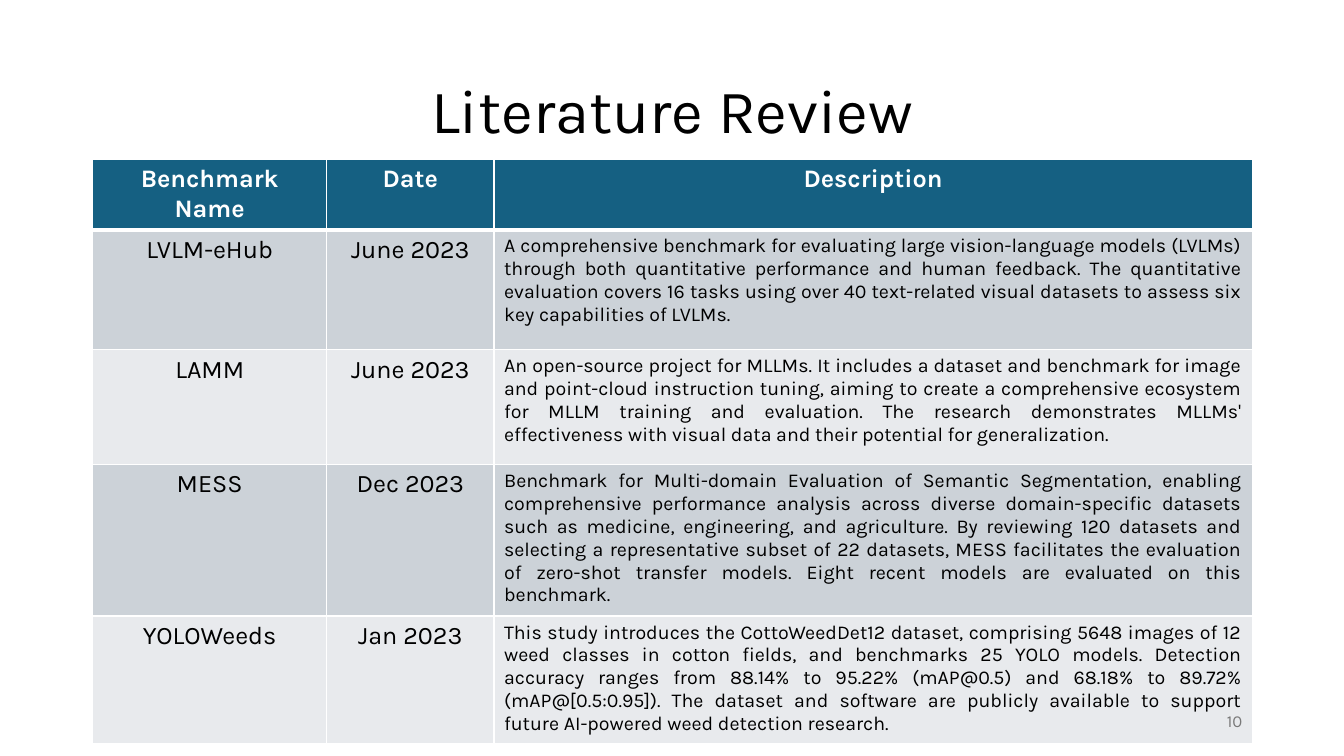
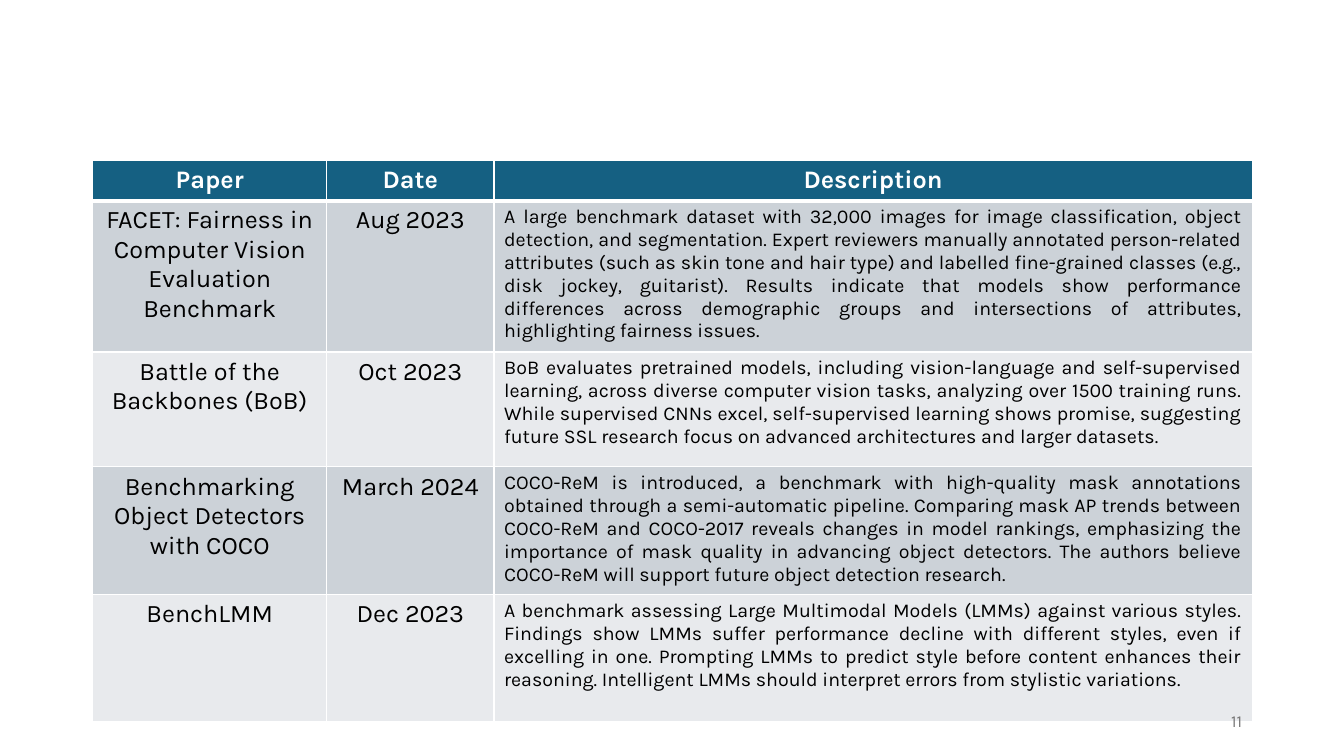
from lxml import etree
from pptx import Presentation
from pptx.dml.color import RGBColor
from pptx.enum.text import MSO_ANCHOR, PP_ALIGN
from pptx.oxml.ns import qn
from pptx.util import Inches, Pt

FONT = "Karla"
BLACK, WHITE, GREY = "000000", "FFFFFF", "797979"
HEADER_FILL = "156082"
BAND_FILLS = ["CCD2D8", "E8EAED"]
LEFT, WIDTH = 0.92, 11.5
COLUMN_WIDTHS = [2.32, 1.66, 7.52]
ROW_HEIGHTS = [0.24, 1.19, 1.14, 1.26, 1.26]

# Each entry: title, page number, table top, table rows
PAGES = [
    ("Literature Review", 10, 1.58, [
        ("Benchmark Name", "Date", "Description"),
        ("LVLM-eHub", "June 2023",
         "A comprehensive benchmark for evaluating large vision-language models (LVLMs) "
         "through both quantitative performance and human feedback. The quantitative "
         "evaluation covers 16 tasks using over 40 text-related visual datasets to assess "
         "six key capabilities of LVLMs."),
        ("LAMM", "June 2023",
         "An open-source project for MLLMs. It includes a dataset and benchmark for image "
         "and point-cloud instruction tuning, aiming to create a comprehensive ecosystem "
         "for MLLM training and evaluation. The research demonstrates MLLMs' effectiveness "
         "with visual data and their potential for generalization."),
        ("MESS", "Dec 2023",
         "Benchmark for Multi-domain Evaluation of Semantic Segmentation, enabling "
         "comprehensive performance analysis across diverse domain-specific datasets such "
         "as medicine, engineering, and agriculture. By reviewing 120 datasets and "
         "selecting a representative subset of 22 datasets, MESS facilitates the "
         "evaluation of zero-shot transfer models. Eight recent models are evaluated on "
         "this benchmark."),
        ("YOLOWeeds", "Jan 2023",
         "This study introduces the CottoWeedDet12 dataset, comprising 5648 images of 12 "
         "weed classes in cotton fields, and benchmarks 25 YOLO models. Detection accuracy "
         "ranges from 88.14% to 95.22% (mAP@0.5) and 68.18% to 89.72% (mAP@[0.5:0.95]). "
         "The dataset and software are publicly available to support future AI-powered "
         "weed detection research."),
    ]),
    (None, 11, 1.59, [
        ("Paper", "Date", "Description"),
        ("FACET: Fairness in Computer Vision Evaluation Benchmark", "Aug 2023",
         "A large benchmark dataset with 32,000 images for image classification, object "
         "detection, and segmentation. Expert reviewers manually annotated person-related "
         "attributes (such as skin tone and hair type) and labelled fine-grained classes "
         "(e.g., disk jockey, guitarist). Results indicate that models show performance "
         "differences across demographic groups and intersections of attributes, "
         "highlighting fairness issues."),
        ("Battle of the Backbones (BoB)", "Oct 2023",
         "BoB evaluates pretrained models, including vision-language and self-supervised "
         "learning, across diverse computer vision tasks, analyzing over 1500 training "
         "runs. While supervised CNNs excel, self-supervised learning shows promise, "
         "suggesting future SSL research focus on advanced architectures and larger "
         "datasets."),
        ("Benchmarking Object Detectors with COCO", "March 2024",
         "COCO-ReM is introduced, a benchmark with high-quality mask annotations obtained "
         "through a semi-automatic pipeline. Comparing mask AP trends between COCO-ReM and "
         "COCO-2017 reveals changes in model rankings, emphasizing the importance of mask "
         "quality in advancing object detectors. The authors believe COCO-ReM will support "
         "future object detection research."),
        ("BenchLMM", "Dec 2023",
         "A benchmark assessing Large Multimodal Models (LMMs) against various styles. "
         "Findings show LMMs suffer performance decline with different styles, even if "
         "excelling in one. Prompting LMMs to predict style before content enhances their "
         "reasoning. Intelligent LMMs should interpret errors from stylistic variations."),
    ]),
]


def write_text(frame, text, size, color, alignment, bold=False):
    """Fill a text frame with one styled paragraph and return the paragraph."""
    frame.word_wrap = True
    paragraph = frame.paragraphs[0]
    paragraph.text = text
    paragraph.alignment = alignment
    paragraph.font.name = FONT
    paragraph.font.size = Pt(size)
    paragraph.font.bold = bold
    paragraph.font.color.rgb = RGBColor.from_string(color)
    return paragraph


def set_borders(cell, top, bottom):
    """Draw white borders; top and bottom are widths in points, the sides are 1."""
    properties = cell._tc.get_or_add_tcPr()
    widths = {"a:lnL": 1, "a:lnR": 1, "a:lnT": top, "a:lnB": bottom}
    for index, (tag, width) in enumerate(widths.items()):
        line = etree.Element(qn(tag), w=str(Pt(width)))
        fill = etree.SubElement(line, qn("a:solidFill"))
        etree.SubElement(fill, qn("a:srgbClr"), val=WHITE)
        properties.insert(index, line)


presentation = Presentation()
presentation.slide_width = Inches(13.33)
presentation.slide_height = Inches(7.5)

for title, number, table_top, rows in PAGES:
    slide = presentation.slides.add_slide(presentation.slide_layouts[6])

    if title:
        title_box = slide.shapes.add_textbox(
            Inches(LEFT), Inches(0.4), Inches(WIDTH), Inches(1.45))
        title_box.text_frame.vertical_anchor = MSO_ANCHOR.MIDDLE
        paragraph = write_text(title_box.text_frame, title, 44, BLACK, PP_ALIGN.CENTER)
        paragraph.line_spacing = 0.9

    table = slide.shapes.add_table(
        len(rows), len(COLUMN_WIDTHS), Inches(LEFT), Inches(table_top),
        Inches(WIDTH), Inches(sum(ROW_HEIGHTS))).table
    for column, width in zip(table.columns, COLUMN_WIDTHS):
        column.width = Inches(width)

    for row_index, texts in enumerate(rows):
        table.rows[row_index].height = Inches(ROW_HEIGHTS[row_index])
        is_header = row_index == 0
        row_fill = HEADER_FILL if is_header else BAND_FILLS[(row_index - 1) % 2]
        for column_index, text in enumerate(texts):
            cell = table.cell(row_index, column_index)
            is_description = column_index == 2 and not is_header
            write_text(cell.text_frame, text,
                       14 if is_description else 18,
                       WHITE if is_header else BLACK,
                       PP_ALIGN.JUSTIFY if is_description else PP_ALIGN.CENTER,
                       bold=is_header)
            cell.fill.solid()
            cell.fill.fore_color.rgb = RGBColor.from_string(row_fill)
            set_borders(cell, top=3 if row_index == 1 else 1, bottom=3 if is_header else 1)

    number_box = slide.shapes.add_textbox(
        Inches(9.42), Inches(6.95), Inches(3), Inches(0.4))
    number_box.text_frame.vertical_anchor = MSO_ANCHOR.MIDDLE
    write_text(number_box.text_frame, str(number), 12, GREY, PP_ALIGN.RIGHT)

presentation.save("out.pptx")
